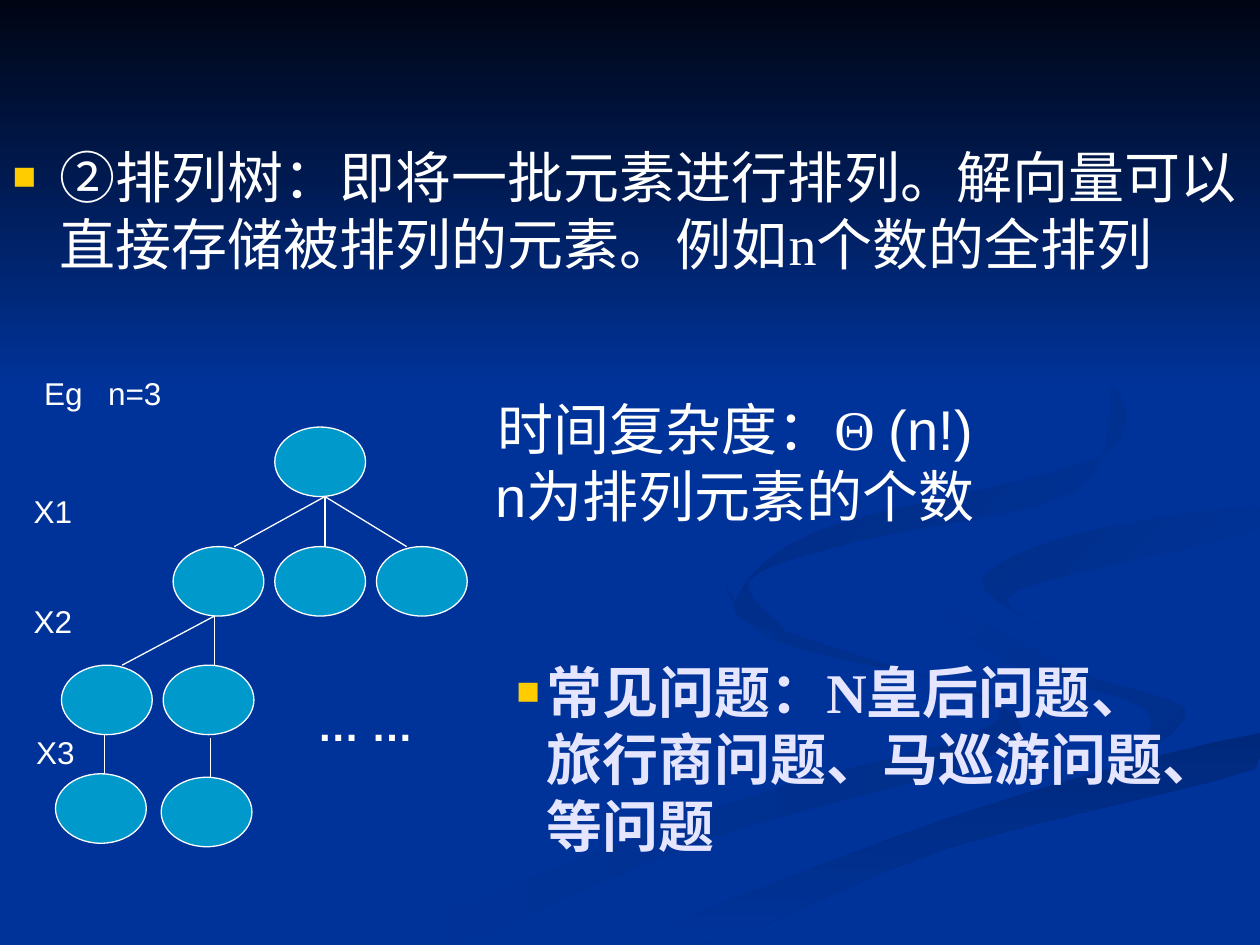
from lxml.etree import SubElement
from pptx import Presentation
from pptx.dml.color import RGBColor
from pptx.enum.shapes import MSO_CONNECTOR as Connector, MSO_SHAPE as Shape
from pptx.enum.text import MSO_ANCHOR as Anchor, MSO_AUTO_SIZE as AutoSize, PP_ALIGN as Align
from pptx.oxml.ns import qn
from pptx.util import Cm, Pt

BLUE = RGBColor(0x00, 0x33, 0x99)
NIGHT = RGBColor(0x00, 0x05, 0x14)
SHADE = RGBColor(0x00, 0x2E, 0x8A)
DEEP_SHADE = RGBColor(0x00, 0x29, 0x7C)
RIBBON_SHADE = RGBColor(0x00, 0x2B, 0x81)
NODE_BLUE = RGBColor(0x00, 0x99, 0xCC)
WHITE = RGBColor(0xFF, 0xFF, 0xFF)
LAVENDER = RGBColor(0xE5, 0xE5, 0xFF)
GOLD = RGBColor(0xFF, 0xCC, 0x00)

SERIF, SANS = "Times New Roman", "Arial"
PAGE_WIDTH, PAGE_HEIGHT = 25.4, 19.05
NODE_WIDTH, NODE_HEIGHT = 1.83, 1.4
COLUMN_STEP = 2.05
CURVE_STEPS = 5

# Background ribbons: start colour, end colour, clockwise angle, outline knots in cm
RIBBONS = [
    (SHADE, BLUE, 180, [
        (19.8, 14), (15.6, 12.9), (14.6, 11.7), (15.5, 12.6), (19.6, 14), (19.6, 14.8),
        (14.7, 16.2), (7.6, 19), (9.2, 19), (14.3, 16.9), (20.1, 15.2)]),
    (SHADE, BLUE, 225, [
        (23.9, 14.3), (21.6, 13.5), (18.4, 11.8), (20.2, 13.3), (23.1, 14.3), (22.8, 15.3)]),
    (DEEP_SHADE, BLUE, 90, [
        (12.8, 19), (14.5, 19), (19.1, 17.1), (25.3, 15.5), (25.3, 14.8), (19.4, 16.4)]),
    (BLUE, SHADE, 225, [
        (19.8, 11.7), (21, 12.6), (20.5, 11.9), (25.3, 10.7), (25.3, 10.2), (21.6, 10.8)]),
    (BLUE, RIBBON_SHADE, 225, [
        (17.3, 10.9), (21.7, 9.9), (22.4, 7.8), (22.2, 9.2), (16.5, 10.7), (14.8, 12.2),
        (15.8, 12.7), (15.1, 11.7)]),
]

LEVEL_NODES = [
    [(5.54, 8.61)],
    [(3.49 + COLUMN_STEP * column, 11.02) for column in range(3)],
    [(1.24 + COLUMN_STEP * column, 13.41) for column in range(2)],
    [(1.12, 15.6), (3.25, 15.67)],
]
BRANCHES = [  # start point, end points
    ((6.55, 10.01), [(4.72, 11.02), (6.55, 11.02), (8.2, 11.02)]),
    ((4.32, 12.42), [(2.46, 13.41), (4.32, 13.41)]),
    ((2.11, 14.81), [(2.11, 15.67)]),
    ((4.24, 14.88), [(4.24, 15.72)]),
]
TREE_LABELS = [  # text, left, top, width
    ("Eg\tn=3", 0.64, 7.42, 3.07),
    ("X1", 0.43, 9.8, 1.83),
    ("X2", 0.43, 12.01, 1.83),
    ("X3", 0.48, 14.66, 1.63),
]


def smooth_outline(knots):
    """Return points of a closed Catmull-Rom curve through the knots, kept on the page."""
    points = []
    for index in range(len(knots)):
        around = [knots[(index + offset) % len(knots)] for offset in (-1, 0, 1, 2)]
        for step in range(CURVE_STEPS):
            t = step / CURVE_STEPS
            x, y = (b + t / 2 * (c - a + t * (2 * a - 5 * b + 4 * c - d
                                              + t * (3 * (b - c) + d - a)))
                    for a, b, c, d in zip(*around))
            points.append((Cm(min(x, PAGE_WIDTH)), Cm(min(y, PAGE_HEIGHT))))
    return points


class SlideBuilder:
    def __init__(self, page):
        self.shapes = page.shapes
        page.background.fill.solid()
        page.background.fill.fore_color.rgb = BLUE

    def shade(self, shape, start, end, angle):
        """Fill with a two-colour gradient at a clockwise angle, without outline."""
        shape.shadow.inherit = False
        shape.line.fill.background()
        shape.fill.gradient()
        shape.fill.gradient_angle = 360 - angle
        for stop, color, position in zip(shape.fill.gradient_stops, (start, end), (0, 1)):
            stop.color.rgb = color
            stop.position = position

    def ribbon(self, start, end, angle, knots):
        first, *others = smooth_outline(knots)
        builder = self.shapes.build_freeform(*first)
        builder.add_line_segments(others, close=True)
        self.shade(builder.convert_to_shape(), start, end, angle)

    def sky(self, width, height):
        band = self.shapes.add_shape(Shape.RECTANGLE, 0, 0, Cm(width), Cm(height))
        self.shade(band, NIGHT, BLUE, 90)

    def node(self, left, top):
        oval = self.shapes.add_shape(Shape.OVAL, Cm(left), Cm(top),
                                     Cm(NODE_WIDTH), Cm(NODE_HEIGHT))
        oval.shadow.inherit = False
        oval.fill.solid()
        oval.fill.fore_color.rgb = NODE_BLUE
        oval.line.color.rgb = WHITE
        oval.line.width = Pt(0.75)

    def branch(self, start, end):
        line = self.shapes.add_connector(Connector.STRAIGHT, *map(Cm, start + end))
        line.line.color.rgb = WHITE
        line.line.width = Pt(0.75)
        SubElement(line.element.spPr, qn("a:effectLst"))

    def text(self, left, top, width, height, lines, size, font=SANS, color=WHITE, bold=False,
             align=Align.LEFT, hang=None, tab=None, box=None):
        """Write lines, each a list of spans, into a new text box or the given one."""
        box = box or self.shapes.add_textbox(0, 0, 0, 0)
        box.left, box.top, box.width, box.height = map(Cm, (left, top, width, height))
        frame = box.text_frame
        frame.word_wrap = True
        frame.auto_size = AutoSize.NONE
        frame.vertical_anchor = Anchor.TOP
        for index, spans in enumerate(lines):
            para = frame.add_paragraph() if index else frame.paragraphs[0]
            para.alignment = align
            para.space_before = Pt(0)
            if hang:
                self.bullet(para, hang)
            if tab:
                tabs = SubElement(para._p.get_or_add_pPr(), qn("a:tabLst"))
                SubElement(tabs, qn("a:tab"), pos=str(Cm(tab)), algn="l")
            for content, *span_font in spans:
                span = para.add_run()
                span.text = content
                span.font.name = span_font[0] if span_font else font
                span.font.size = Pt(size)
                span.font.bold = bold
                span.font.color.rgb = color

    def bullet(self, para, hang):
        props = para._p.get_or_add_pPr()
        props.set("marL", str(Cm(hang)))
        props.set("indent", str(-Cm(hang)))
        SubElement(SubElement(props, qn("a:buClr")), qn("a:srgbClr"), val=str(GOLD))
        SubElement(props, qn("a:buSzPct"), val="70000")
        SubElement(props, qn("a:buFont"), typeface=SANS)
        SubElement(props, qn("a:buChar"), char="■")


def main():
    deck = Presentation()
    deck.slide_width, deck.slide_height = Cm(PAGE_WIDTH), Cm(PAGE_HEIGHT)
    page = deck.slides.add_slide(deck.slide_layouts[1])
    title, body = page.placeholders
    tree = title.element.getparent()
    tree.remove(title.element)

    slide = SlideBuilder(page)
    for ribbon in RIBBONS:
        slide.ribbon(*ribbon)
    slide.sky(PAGE_WIDTH, 7.82)
    tree.append(body.element)  # bring the body text in front of the background
    slide.text(0, 2.74, PAGE_WIDTH, 15.88, [[(
        "②排列树：即将一批元素进行排列。解向量可以直接存储被排列的元素。例如n个数的全排列",)]],
        32, SERIF, hang=0.95, box=body)

    for start, ends in BRANCHES:
        for end in ends:
            slide.branch(start, end)
    for level in LEVEL_NODES:
        for position in level:
            slide.node(*position)
    for label, left, top, width in TREE_LABELS:
        slide.text(left, top, width, 1.02, [[(label,)]], 18, tab=1.29 if "\t" in label else None)
    slide.text(6.15, 13.97, 2.97, 1.27, [[("… …",)]], 24, bold=True)

    slide.text(9.53, 7.82, 10.59, 2.97, [
        [("时间复杂度：",), ("Θ ", SERIF), ("(n!)",)],
        [("n为排列元素的个数",)]], 32, align=Align.CENTER)
    slide.text(10.16, 13.13, 14.17, 4.32, [[(
        "常见问题：N皇后问题、旅行商问题、马巡游问题、等问题",)]],
        32, SERIF, LAVENDER, bold=True, hang=0.6)
    deck.save("out.pptx")


if __name__ == "__main__":
    main()
